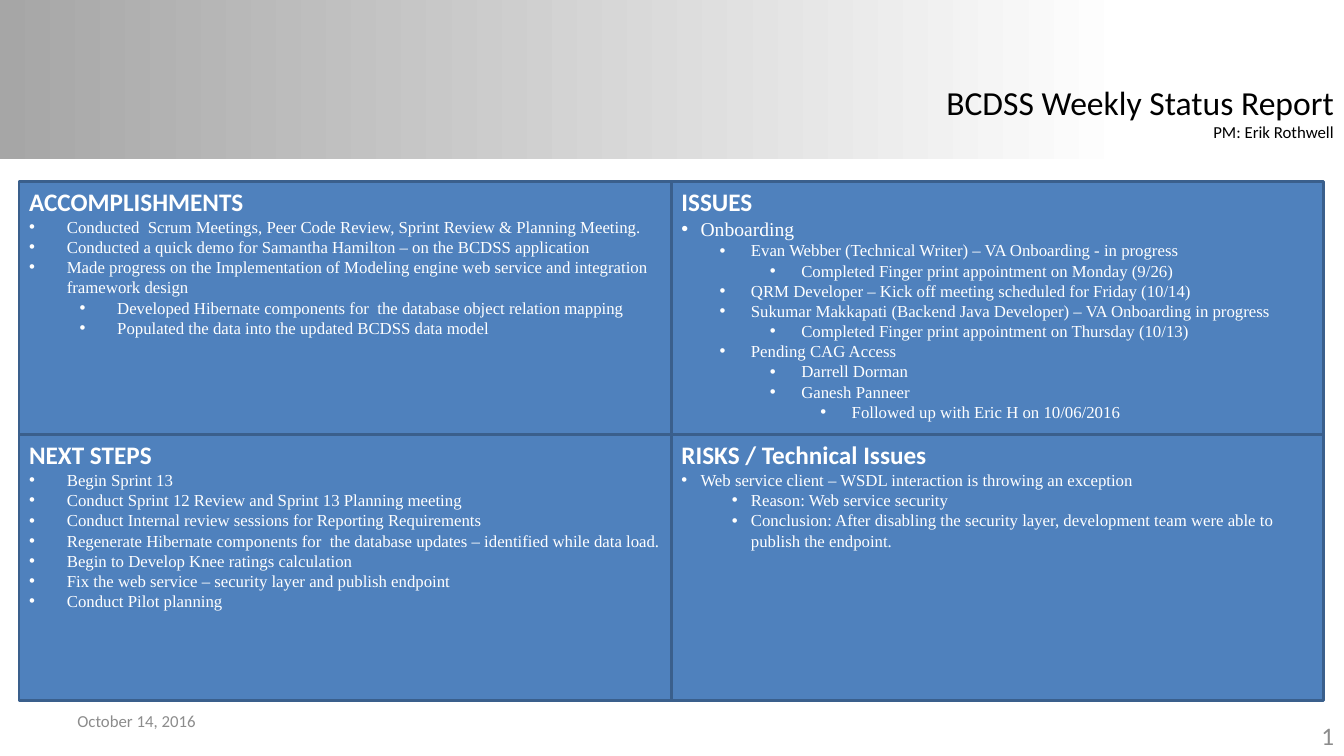
from lxml.etree import SubElement
from pptx import Presentation
from pptx.dml.color import RGBColor
from pptx.enum.shapes import MSO_SHAPE
from pptx.enum.text import MSO_ANCHOR, MSO_AUTO_SIZE, PP_ALIGN
from pptx.oxml.ns import qn
from pptx.util import Cm, Pt

# Content: each list item is (depth, text)
TITLE = [("BCDSS Weekly Status Report", 24), ("PM: Erik Rothwell", 12)]
DATE = "October 14, 2016"
ACCOMPLISHMENTS = [
    (0, "Conducted  Scrum Meetings, Peer Code Review, Sprint Review & Planning Meeting."),
    (0, "Conducted a quick demo for Samantha Hamilton – on the BCDSS application"),
    (0, "Made progress on the Implementation of Modeling engine web service and integration framework design"),
    (1, "Developed Hibernate components for  the database object relation mapping"),
    (1, "Populated the data into the updated BCDSS data model"),
]
ISSUES = [
    (0, "Onboarding"),
    (1, "Evan Webber (Technical Writer) – VA Onboarding - in progress"),
    (2, "Completed Finger print appointment on Monday (9/26)"),
    (1, "QRM Developer – Kick off meeting scheduled for Friday (10/14)"),
    (1, "Sukumar Makkapati (Backend Java Developer) – VA Onboarding in progress"),
    (2, "Completed Finger print appointment on Thursday (10/13)"),
    (1, "Pending CAG Access"),
    (2, "Darrell Dorman"),
    (2, "Ganesh Panneer"),
    (3, "Followed up with Eric H on 10/06/2016"),
]
NEXT_STEPS = [
    (0, "Begin Sprint 13"),
    (0, "Conduct Sprint 12 Review and Sprint 13 Planning meeting"),
    (0, "Conduct Internal review sessions for Reporting Requirements"),
    (0, "Regenerate Hibernate components for  the database updates – identified while data load."),
    (0, "Begin to Develop Knee ratings calculation"),
    (0, "Fix the web service – security layer and publish endpoint"),
    (0, "Conduct Pilot planning"),
]
RISKS = [
    (0, "Web service client – WSDL interaction is throwing an exception"),
    (1, "Reason: Web service security"),
    (1, "Conclusion: After disabling the security layer, development team were able to publish the endpoint."),
]
# Heading, items, top-level size, top-level hang, deeper hang (cm); row by row
PANELS = [
    ("ACCOMPLISHMENTS", ACCOMPLISHMENTS, 12, 0.95, 0.95),
    ("ISSUES", ISSUES, 14, 0.48, 0.79),
    ("NEXT STEPS", NEXT_STEPS, 12, 0.95, 0.95),
    ("RISKS / Technical Issues", RISKS, 12, 0.48, 0.48),
]

# Layout in cm
SLIDE_WIDTH, SLIDE_HEIGHT = 33.87, 19.05
BAND_HEIGHT = 4.02
GRID_LEFT, GRID_TOP = 0.48, 4.57
PANEL_WIDTH = 16.44
ROW_HEIGHTS = [6.38, 6.7]
LEVEL_STEP = 1.27
FOOTER_WIDTH, FOOTER_HEIGHT = 7.9, 1.02


def color(value):
    return RGBColor.from_string(value)


def place(shape, left, top, width, height):
    shape.left, shape.top = Cm(left), Cm(top)
    shape.width, shape.height = Cm(width), Cm(height)


def set_frame(frame, anchor):
    frame.word_wrap = True
    frame.auto_size = MSO_AUTO_SIZE.NONE
    frame.vertical_anchor = anchor


def set_font(para, size, value, name="Calibri", bold=False):
    para.font.size = Pt(size)
    para.font.name = name
    para.font.bold = bold
    para.font.color.rgb = color(value)


def set_bullet(para, margin, hang, char=None):
    props = para._p.get_or_add_pPr()
    props.set("marL", str(Cm(margin)))
    props.set("indent", str(-Cm(hang)))
    if char:
        SubElement(props, qn("a:buFont")).set("typeface", "Arial")
        SubElement(props, qn("a:buChar")).set("char", char)
    else:
        SubElement(props, qn("a:buNone"))


def next_para(frame, first):
    para = frame.paragraphs[0] if first else frame.add_paragraph()
    para.space_before = Pt(0)
    return para


def fill_panel(panel, heading, items, top_size, top_hang, sub_hang):
    panel.fill.solid()
    panel.fill.fore_color.rgb = color("4F81BD")
    panel.line.color.rgb = color("3A5F8C")
    panel.line.width = Pt(2)
    frame = panel.text_frame
    set_frame(frame, MSO_ANCHOR.TOP)
    para = next_para(frame, True)
    para.text = heading
    set_bullet(para, 0, 0)
    set_font(para, 18, "FFFFFF", bold=True)
    for depth, text in items:
        para = next_para(frame, False)
        para.text = text
        para.level = depth
        set_bullet(para, top_hang + depth * LEVEL_STEP, sub_hang if depth else top_hang, "•")
        set_font(para, 12 if depth else top_size, "FFFFFF", "Times New Roman")


def add_footer(page, left, top, size, align):
    box = page.shapes.add_textbox(Cm(left), Cm(top), Cm(FOOTER_WIDTH), Cm(FOOTER_HEIGHT))
    set_frame(box.text_frame, MSO_ANCHOR.MIDDLE)
    para = box.text_frame.paragraphs[0]
    para.alignment = align
    set_font(para, size, "8C8C8C")
    return para


def main():
    deck = Presentation()
    deck.slide_width, deck.slide_height = Cm(SLIDE_WIDTH), Cm(SLIDE_HEIGHT)
    page = deck.slides.add_slide(deck.slide_layouts.get_by_name("Comparison"))

    # Header band, behind everything
    band = page.shapes.add_shape(MSO_SHAPE.RECTANGLE, 0, 0, Cm(SLIDE_WIDTH), Cm(BAND_HEIGHT))
    band.shadow.inherit = False
    band.line.fill.background()
    band.fill.gradient()
    band.fill.gradient_angle = 0
    for stop, (position, value) in zip(band.fill.gradient_stops, [(0, "A6A6A6"), (0.84, "FFFFFF")]):
        stop.position = position
        stop.color.rgb = color(value)
    page.shapes.element.insert(2, band.element)

    # Title
    title = page.shapes.title
    place(title, 23.5, 1.93, SLIDE_WIDTH - 23.5, 1.8)
    set_frame(title.text_frame, MSO_ANCHOR.TOP)
    for index, (text, size) in enumerate(TITLE):
        para = next_para(title.text_frame, index == 0)
        para.text = text
        para.alignment = PP_ALIGN.RIGHT
        set_font(para, size, "000000")

    # Two by two panels
    bodies = [shape for shape in page.placeholders if shape.placeholder_format.idx in (1, 2, 3, 4)]
    for index, (body, content) in enumerate(zip(bodies, PANELS)):
        row, column = divmod(index, 2)
        place(body, GRID_LEFT + column * PANEL_WIDTH, GRID_TOP + sum(ROW_HEIGHTS[:row]),
              PANEL_WIDTH, ROW_HEIGHTS[row])
        fill_panel(body, *content)

    # Date and slide number
    add_footer(page, 1.7, 17.65, 12, PP_ALIGN.LEFT).text = DATE
    number = add_footer(page, SLIDE_WIDTH - FOOTER_WIDTH, 18.01, 18, PP_ALIGN.RIGHT)
    field = SubElement(number._p, qn("a:fld"))
    field.set("id", "{B6F15528-21DE-4FAA-801E-634DDDAF4B2B}")
    field.set("type", "slidenum")
    SubElement(field, qn("a:t")).text = "1"

    deck.save("out.pptx")


if __name__ == "__main__":
    main()
